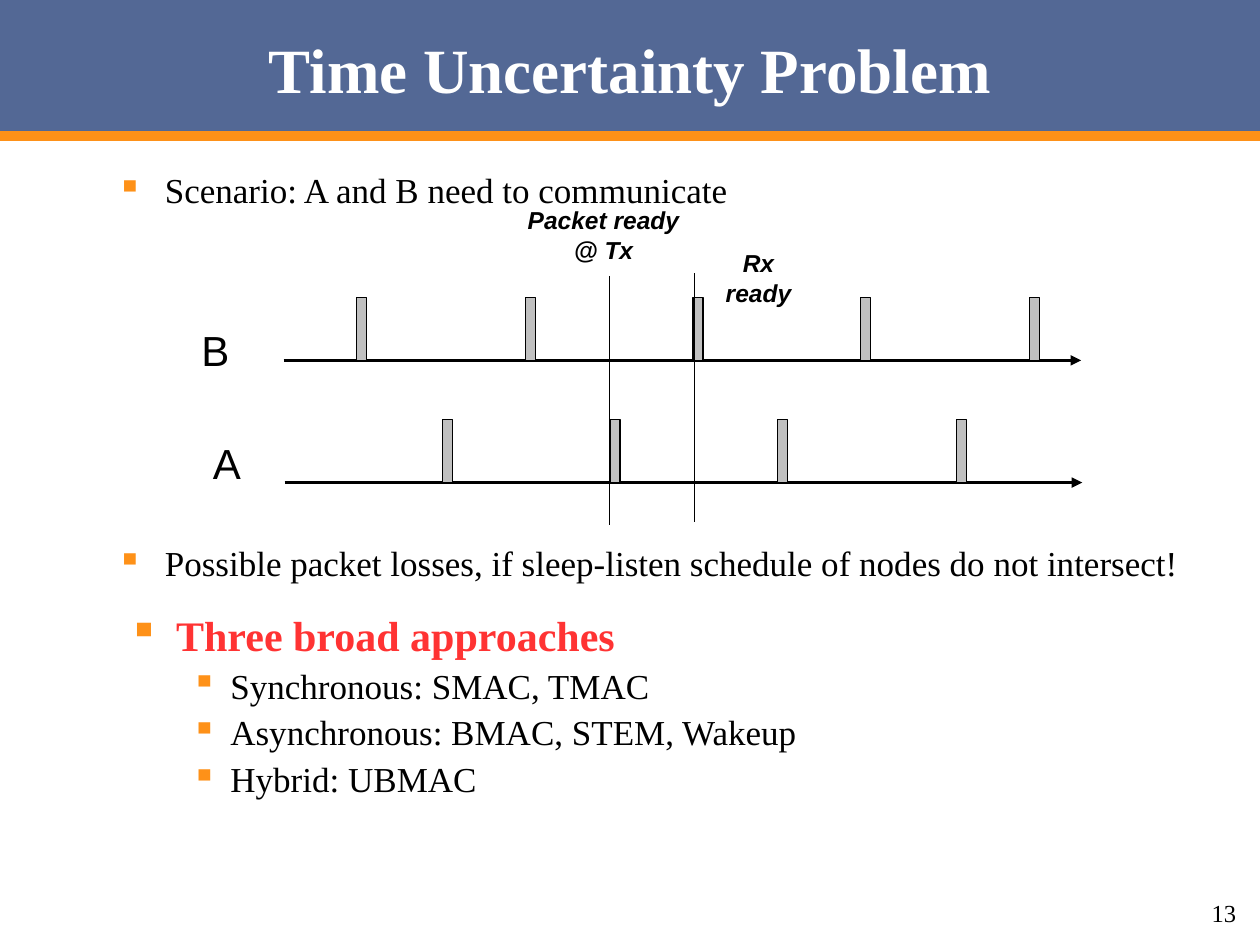
from lxml import etree
from pptx import Presentation
from pptx.dml.color import RGBColor
from pptx.enum.shapes import MSO_CONNECTOR, MSO_SHAPE
from pptx.enum.text import MSO_ANCHOR, PP_ALIGN
from pptx.oxml.ns import qn
from pptx.util import Inches, Pt

COLORS = {
    "band": "536895", "accent": "FE9118", "text": "000000",
    "title": "FFFFFF", "key": "FF3333", "pulse": "C0C0C0",
}
SERIF, SANS = "Times New Roman", "Arial"


class SlideBuilder:
    """Holds the style and the current slide."""

    def __init__(self, slide):
        self.slide = slide

    def color(self, name):
        return RGBColor.from_string(COLORS[name])

    def box(self, left, top, width, height, fill, outline=None):
        shape = self.slide.shapes.add_shape(
            MSO_SHAPE.RECTANGLE, Inches(left), Inches(top), Inches(width), Inches(height))
        shape.shadow.inherit = False
        shape.fill.solid()
        shape.fill.fore_color.rgb = self.color(fill)
        if outline:
            shape.line.color.rgb = self.color(outline)
            shape.line.width = Pt(0.75)
        else:
            shape.line.fill.background()

    def line(self, x1, y1, x2, y2, width, color="text", arrow=False):
        connector = self.slide.shapes.add_connector(
            MSO_CONNECTOR.STRAIGHT, Inches(x1), Inches(y1), Inches(x2), Inches(y2))
        connector.line.color.rgb = self.color(color)
        connector.line.width = Pt(width)
        if arrow:
            etree.SubElement(connector.line._get_or_add_ln(), qn("a:tailEnd"), type="triangle")
        etree.SubElement(connector._element.spPr, qn("a:effectLst"))

    def frame(self, left, top, width, height, wrap=True, anchor=MSO_ANCHOR.TOP):
        text_box = self.slide.shapes.add_textbox(
            Inches(left), Inches(top), Inches(width), Inches(height))
        text_frame = text_box.text_frame
        text_frame.word_wrap = wrap
        text_frame.vertical_anchor = anchor
        return text_frame

    def next_paragraph(self, frame):
        first = frame.paragraphs[0]
        return frame.add_paragraph() if first.runs else first

    def run(self, paragraph, text, size, font=SERIF, color="text", bold=False, italic=False):
        run = paragraph.add_run()
        run.text = text
        run.font.name = font
        run.font.size = Pt(size)
        run.font.bold = bold
        run.font.italic = italic
        run.font.color.rgb = self.color(color)

    def label(self, frame, text, size, align=PP_ALIGN.LEFT, **style):
        paragraph = self.next_paragraph(frame)
        paragraph.alignment = align
        self.run(paragraph, text, size, **style)

    def bullet(self, frame, text, size=20, level=0, **style):
        paragraph = self.next_paragraph(frame)
        margin, indent = ((0.38, -0.38), (0.81, -0.31))[level]
        properties = paragraph._p.get_or_add_pPr()
        properties.set("marL", str(Inches(margin)))
        properties.set("indent", str(Inches(indent)))
        bullet_color = etree.SubElement(properties, qn("a:buClr"))
        etree.SubElement(bullet_color, qn("a:srgbClr"), val=COLORS["accent"])
        etree.SubElement(properties, qn("a:buChar"), char="▪")
        paragraph.level = level
        paragraph.line_spacing = 0.9
        if paragraph._p is not frame.paragraphs[0]._p:
            paragraph.space_before = Pt(5)
        self.run(paragraph, text, size, **style)


def main():
    presentation = Presentation()
    presentation.slide_width, presentation.slide_height = Inches(10), Inches(7.5)
    builder = SlideBuilder(presentation.slides.add_slide(presentation.slide_layouts[6]))

    # Title band
    builder.box(0, 0, 10, 1.08, "band")
    builder.line(0, 1.08, 10, 1.08, 6, color="accent")
    title = builder.frame(0.5, 0, 9, 1.08, anchor=MSO_ANCHOR.MIDDLE)
    builder.label(title, "Time Uncertainty Problem", 36, PP_ALIGN.CENTER,
                  color="title", bold=True)

    # Statements above and below the diagram
    for top, text in (
        (1.33, "Scenario: A and B need to communicate"),
        (4.29, "Possible packet losses, if sleep-listen schedule of nodes do not intersect!"),
    ):
        builder.bullet(builder.frame(0.83, top, 8.83, 0.4), text)

    # Node timelines with their listening pulses
    pulse_width, pulse_height = 0.08, 0.5
    timelines = (
        ("B", 1.5, 2.53, 2.25, 2.86, (2.83, 4.17, 5.5, 6.83, 8.17)),
        ("A", 1.59, 3.42, 2.26, 3.83, (3.51, 4.84, 6.17, 7.59)),
    )
    for node, label_left, label_top, start, axis, pulses in timelines:
        builder.line(start, axis, start + 6.33, axis, 2, arrow=True)
        for left in pulses:
            builder.box(left, axis - pulse_height, pulse_width, pulse_height, "pulse", "text")
        builder.label(builder.frame(label_left, label_top, 0.42, 0.5, wrap=False),
                      node, 24, font=SANS)

    # Event markers
    events = (
        (4.84, 2.19, 4.17, (4.09, 1.58, 1.4, 0.57), ("Packet ready", "@ Tx")),
        (5.51, 2.17, 4.14, (5.51, 1.92, 1.02, 0.34), ("Rx ready",)),
    )
    for x, top, bottom, place, texts in events:
        builder.line(x, top, x, bottom, 0.75)
        caption = builder.frame(*place, wrap=False)
        for text in texts:
            builder.label(caption, text, 14, PP_ALIGN.CENTER, font=SANS, bold=True, italic=True)

    # Approaches
    approaches = builder.frame(0.92, 4.83, 8.5, 1.78)
    builder.bullet(approaches, "Three broad approaches", 24, color="key", bold=True)
    for text in ("Synchronous: SMAC, TMAC", "Asynchronous: BMAC, STEM, Wakeup", "Hybrid: UBMAC"):
        builder.bullet(approaches, text, level=1)

    # Page number
    builder.label(builder.frame(7.83, 7.08, 2.08, 0.33), "13", 14, PP_ALIGN.RIGHT)

    presentation.save("out.pptx")


if __name__ == "__main__":
    main()
